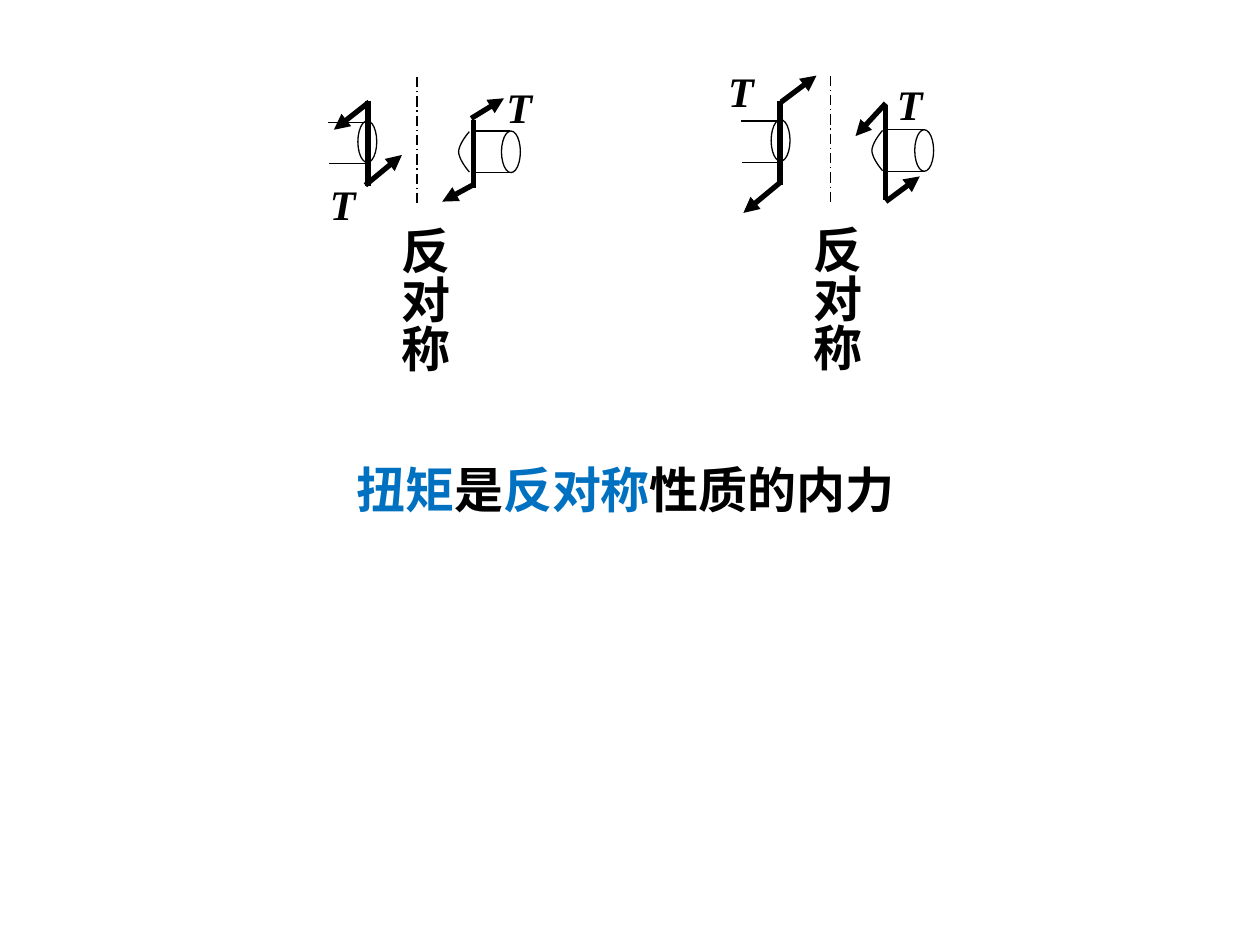
from lxml import etree
from pptx import Presentation
from pptx.dml.color import RGBColor
from pptx.enum.dml import MSO_LINE
from pptx.enum.shapes import MSO_CONNECTOR, MSO_SHAPE
from pptx.enum.text import MSO_AUTO_SIZE
from pptx.oxml.ns import qn
from pptx.util import Inches, Pt

STRAIGHT = MSO_CONNECTOR.STRAIGHT
OVAL = MSO_SHAPE.OVAL
LONG_DASH_DOT = MSO_LINE.LONG_DASH_DOT
FIT_SHAPE = MSO_AUTO_SIZE.SHAPE_TO_FIT_TEXT
COLORS = {"black": "000000", "blue": "0070C0"}
FONT = "Times New Roman"
THIN, THICK = 0.75, 3


def add_text(shapes, runs, left, top, width, height, size=28,
             italic=False, vertical=False):
    """Add a bold text box; runs is a list of (text, color name)."""
    shape = shapes.add_textbox(Inches(left), Inches(top), Inches(width), Inches(height))
    frame = shape.text_frame
    frame.word_wrap = vertical
    frame.auto_size = FIT_SHAPE
    if vertical:
        frame._txBody.bodyPr.set("vert", "eaVert")
    for text, color in runs:
        run = frame.paragraphs[0].add_run()
        run.text = text
        run.font.name = FONT
        run.font.size = Pt(size)
        run.font.bold = True
        run.font.italic = italic
        run.font.color.rgb = RGBColor.from_string(COLORS[color])


def add_line(shapes, x1, y1, x2, y2, weight=THIN, dash=None, arrow=False):
    """Add a straight line, with an arrowhead at its end if asked."""
    connector = shapes.add_connector(STRAIGHT, Inches(x1), Inches(y1), Inches(x2), Inches(y2))
    connector.line.color.rgb = RGBColor.from_string(COLORS["black"])
    connector.line.width = Pt(weight)
    if dash:
        connector.line.dash_style = dash
    if arrow:
        etree.SubElement(connector.line._get_or_add_ln(), qn("a:tailEnd"), type="triangle")
    etree.SubElement(connector._element.spPr, qn("a:effectLst"))


presentation = Presentation()
presentation.slide_width = Inches(10)
presentation.slide_height = Inches(7.5)
slide = presentation.slides.add_slide(presentation.slide_layouts[6])

# Each diagram: shaft position, couple bars, force arrows, T labels, caption
diagrams = [
    {
        "x": 2.6, "y": 0.96, "axis": (3.31, 0.61),
        "bars": [(2.92, 0.8, 1.48), (3.76, 0.95, 1.49)],
        "arrows": [(2.93, 0.81, 2.65, 1.03), (2.9, 1.47, 3.19, 1.23),
                   (3.74, 0.94, 4, 0.78), (3.75, 1.47, 3.51, 1.6)],
        "labels": [(3.92, 0.6), (2.52, 1.37)],
        "caption": (2.98, 1.7, 0.67, 1.44),
    },
    {
        "x": 5.88, "y": 0.95, "axis": (6.59, 0.6),
        "bars": [(6.19, 0.8, 1.47), (7.03, 0.83, 1.59)],
        "arrows": [(6.2, 0.81, 6.48, 0.6), (6.19, 1.45, 5.9, 1.69),
                   (7.03, 0.82, 6.79, 1.08), (7.03, 1.6, 7.3, 1.4)],
        "labels": [(7.02, 0.57), (5.68, 0.47)],
        "caption": (6.25, 1.69, 0.67, 1.48),
    },
]

for diagram in diagrams:
    shapes = slide.shapes.add_group_shape().shapes
    x, y = diagram["x"], diagram["y"]

    # Symmetry axis, couple bars and force arrows
    axis_x, axis_top = diagram["axis"]
    add_line(shapes, axis_x, axis_top, axis_x, axis_top + 1.02, dash=LONG_DASH_DOT)
    for bar_x, top, bottom in diagram["bars"]:
        add_line(shapes, bar_x, top, bar_x, bottom, weight=THICK)
    for arrow in diagram["arrows"]:
        add_line(shapes, *arrow, weight=THICK, arrow=True)

    # Two shaft stubs: an edge pair and an end face each
    for edge_x, edge_y, face_x, face_y in [(0, 0.01, 0.24, 0), (1.14, 0.08, 1.38, 0.08)]:
        for step in (0, 1):
            left, top = x + edge_x + 0.01 * step, y + edge_y + 0.33 * step
            add_line(shapes, left + 0.31, top, left, top)
        face = shapes.add_shape(OVAL, Inches(x + face_x), Inches(y + face_y),
                                Inches(0.15), Inches(0.33))
        face.shadow.inherit = False
        face.fill.background()
        face.line.color.rgb = RGBColor.from_string(COLORS["black"])
        face.line.width = Pt(THIN)

    # Curved cut of the right stub
    cut_x, cut_y = x + 1.04, y + 0.08
    points = []
    for step in range(-10, 11):
        t = step / 10
        points.append((Inches(cut_x + 0.085 * abs(t) ** 1.6),
                       Inches(cut_y + 0.165 + 0.16 * t)))
    builder = shapes.build_freeform(*points[0])
    builder.add_line_segments(points[1:], close=False)
    cut = builder.convert_to_shape()
    cut.shadow.inherit = False
    cut.fill.background()
    cut.line.color.rgb = RGBColor.from_string(COLORS["black"])
    cut.line.width = Pt(THIN)

    # Torque labels and vertical caption
    for left, top in diagram["labels"]:
        add_text(shapes, [("T", "black")], left, top, 0.41, 0.51, size=24, italic=True)
    add_text(shapes, [("反对称", "black")], *diagram["caption"], vertical=True)

# Conclusion
conclusion = [("扭矩", "blue"), ("是", "black"), ("反对称", "blue"), ("性质的内力", "black")]
add_text(slide.shapes, conclusion, 2.73, 3.6, 4.5, 0.57)

presentation.save("out.pptx")
